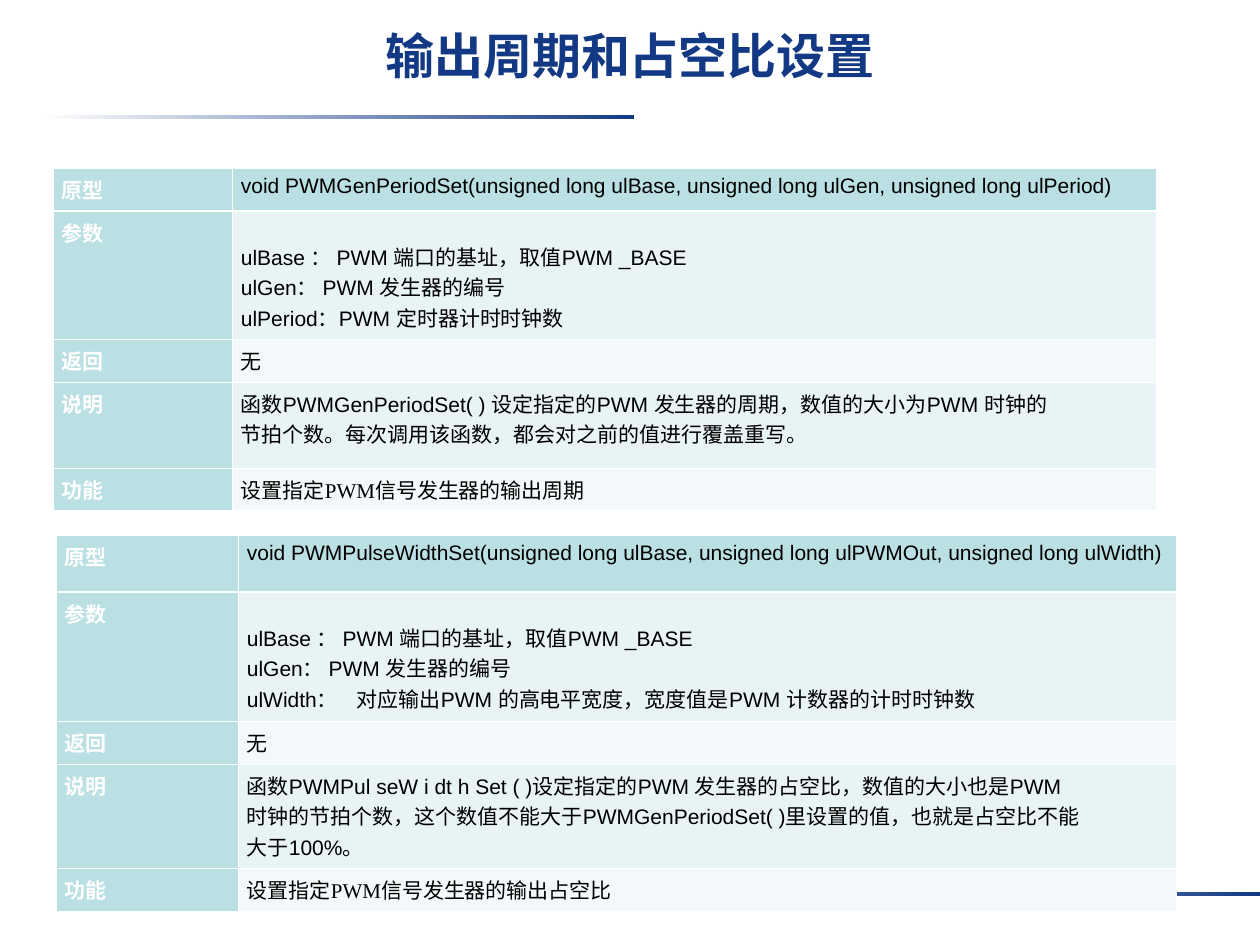
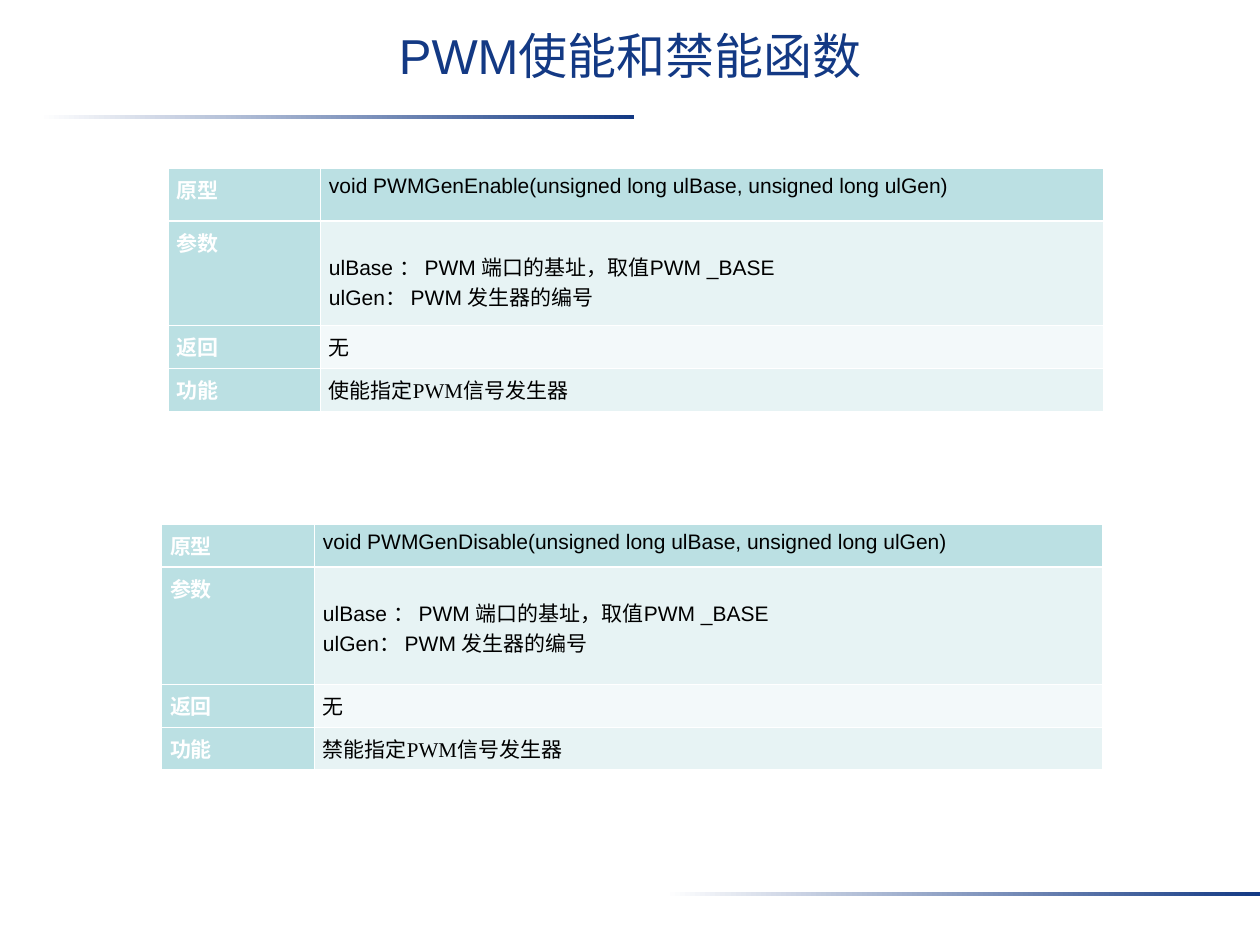
from dataclasses import dataclass

from lxml import etree
from pptx import Presentation
from pptx import util as u
from pptx.dml.color import RGBColor
from pptx.enum import shapes, text
from pptx.oxml import ns

PX_PER_INCH = 126


@dataclass(frozen=True)
class Theme:
    navy: str = "133984"
    white: str = "FFFFFF"
    black: str = "000000"
    label_fill: str = "BBE0E3"
    row_fills: tuple = ("F3F9FA", "E7F3F4")
    sans: str = "Arial"
    serif: str = "Times New Roman"
    title_size: int = 28
    table_size: int = 12
    thin_rule: float = 0.45
    header_rule: float = 1.47


THEME = Theme()

# Row labels
PROTOTYPE, PARAMETERS, RETURNS, NOTES, PURPOSE = "原型", "参数", "返回", "说明", "功能"
PROSE_ROWS = (RETURNS, PURPOSE)

# Wording shared by the function tables
BASE_AND_GENERATOR = ["ulBase ： PWM 端口的基址，取值PWM _BASE", "ulGen： PWM 发生器的编号"]
NO_RETURN = ["无"]


def px(length):
    return u.Emu(round(length * 914400 / PX_PER_INCH))


def rgb(value):
    return RGBColor.from_string(value)


def apply_format(target, values):
    for attribute, value in values.items():
        setattr(target, attribute, value)


def write_run(paragraph, wording, size, color, bold=False, font=THEME.sans):
    run = paragraph.add_run()
    run.text = wording
    apply_format(run.font, {"name": font, "size": u.Pt(size), "bold": bold})
    run.font.color.rgb = rgb(color)


# Slide frame: title and the two fading bands
def add_band(slide, left, top):
    band = slide.shapes.add_shape(
        shapes.MSO_SHAPE.RECTANGLE, px(left), px(top), px(595), px(4))
    band.shadow.inherit = False
    band.line.fill.background()
    band.fill.gradient()
    band.fill.gradient_angle = 0
    for stop, color in zip(band.fill.gradient_stops, (THEME.white, THEME.navy)):
        stop.color.rgb = rgb(color)


def add_titled_slide(deck, heading, bold):
    slide = deck.slides.add_slide(deck.slide_layouts[5])
    title = slide.shapes.title
    apply_format(title, {"left": px(0), "top": px(25),
                         "width": px(1260), "height": px(94)})
    apply_format(title.text_frame, {
        "margin_left": px(13), "margin_right": px(13),
        "margin_top": px(7), "margin_bottom": px(6), "word_wrap": True,
        "auto_size": text.MSO_AUTO_SIZE.NONE,
        "vertical_anchor": text.MSO_ANCHOR.TOP})
    line = title.text_frame.paragraphs[0]
    apply_format(line, {"alignment": text.PP_ALIGN.CENTER, "line_spacing": 0.9})
    write_run(line, heading, THEME.title_size, THEME.navy, bold)
    add_band(slide, 39, 115)
    add_band(slide, 665, 892)
    return slide


# Function tables
def draw_borders(cell, row):
    properties = cell._tc.get_or_add_tcPr()
    heavy_side = {0: "lnB", 1: "lnT"}.get(row)
    for side in ("lnL", "lnR", "lnT", "lnB"):
        width = THEME.header_rule if side == heavy_side else THEME.thin_rule
        border = etree.SubElement(properties, ns.qn(f"a:{side}"), w=str(u.Pt(width)))
        fill = etree.SubElement(border, ns.qn("a:solidFill"))
        etree.SubElement(fill, ns.qn("a:srgbClr"), val=THEME.white)


def add_tab_stop(paragraph, position):
    stops = etree.SubElement(paragraph._p.get_or_add_pPr(), ns.qn("a:tabLst"))
    etree.SubElement(stops, ns.qn("a:tab"), pos=str(px(position)), algn="l")


def fill_cell(cell, row, lines, fill, align, top=6, **style):
    draw_borders(cell, row)
    cell.fill.solid()
    cell.fill.fore_color.rgb = rgb(fill)
    apply_format(cell, {"margin_left": px(9), "margin_right": px(9),
                        "margin_top": px(top), "margin_bottom": px(6)})
    for number, wording in enumerate(lines):
        frame = cell.text_frame
        paragraph = frame.add_paragraph() if number else frame.paragraphs[0]
        paragraph.alignment = align
        if "\t" in wording:
            add_tab_stop(paragraph, 110)
        write_run(paragraph, wording, THEME.table_size, **style)


def add_function_table(slide, left, top, widths, heights, entries):
    table = slide.shapes.add_table(
        len(entries), 2, px(left), px(top), px(sum(widths)), px(sum(heights))).table
    for column, width in zip(table.columns, widths):
        column.width = px(width)
    for row, (height, (label, lines)) in enumerate(zip(heights, entries.items())):
        table.rows[row].height = px(height)
        fill_cell(table.cell(row, 0), row, [label], THEME.label_fill,
                  text.PP_ALIGN.JUSTIFY, color=THEME.white, bold=True)
        prose = label in PROSE_ROWS
        fill_cell(table.cell(row, 1), row, lines,
                  THEME.row_fills[row % 2] if row else THEME.label_fill,
                  text.PP_ALIGN.JUSTIFY if prose else text.PP_ALIGN.LEFT,
                  top=30 if label == PARAMETERS else 6,
                  color=THEME.black, font=THEME.serif if prose else THEME.sans)


def main():
    deck = Presentation()
    apply_format(deck, {"slide_width": px(1260), "slide_height": px(945)})

    # Period and duty cycle
    settings = add_titled_slide(deck, "输出周期和占空比设置", True)
    add_function_table(settings, 53, 168, (179, 924), (43, 128, 43, 86, 43), {
        PROTOTYPE: ["void PWMGenPeriodSet(unsigned long ulBase, "
                    "unsigned long ulGen, unsigned long ulPeriod)"],
        PARAMETERS: BASE_AND_GENERATOR + ["ulPeriod：PWM 定时器计时时钟数"],
        RETURNS: NO_RETURN,
        NOTES: ["函数PWMGenPeriodSet( ) 设定指定的PWM 发生器的周期，数值的大小为PWM 时钟的",
                "节拍个数。每次调用该函数，都会对之前的值进行覆盖重写。"],
        PURPOSE: ["设置指定PWM信号发生器的输出周期"],
    })
    add_function_table(settings, 56, 535, (182, 938), (57, 129, 43, 104, 43), {
        PROTOTYPE: ["void PWMPulseWidthSet(unsigned long ulBase, "
                    "unsigned long ulPWMOut, unsigned long ulWidth)"],
        PARAMETERS: BASE_AND_GENERATOR + [
            "ulWidth：\t对应输出PWM 的高电平宽度，宽度值是PWM 计数器的计时时钟数"],
        RETURNS: NO_RETURN,
        NOTES: ["函数PWMPul seW i dt h Set ( )设定指定的PWM 发生器的占空比，数值的大小也是PWM",
                "时钟的节拍个数，这个数值不能大于PWMGenPeriodSet( )里设置的值，也就是占空比不能",
                "大于100%。"],
        PURPOSE: ["设置指定PWM信号发生器的输出占空比"],
    })

    # Enable and disable
    switching = add_titled_slide(deck, "PWM使能和禁能函数", False)
    switches = (
        ("Enable", "使能", 168, 168, (152, 783), (53, 104, 43, 43)),
        ("Disable", "禁能", 161, 524, (153, 788), (43, 117, 43, 43)),
    )
    for name, action, left, top, widths, heights in switches:
        add_function_table(switching, left, top, widths, heights, {
            PROTOTYPE: [f"void PWMGen{name}(unsigned long ulBase, unsigned long ulGen)"],
            PARAMETERS: BASE_AND_GENERATOR,
            RETURNS: NO_RETURN,
            PURPOSE: [f"{action}指定PWM信号发生器"],
        })

    deck.save("out.pptx")


if __name__ == "__main__":
    main()
